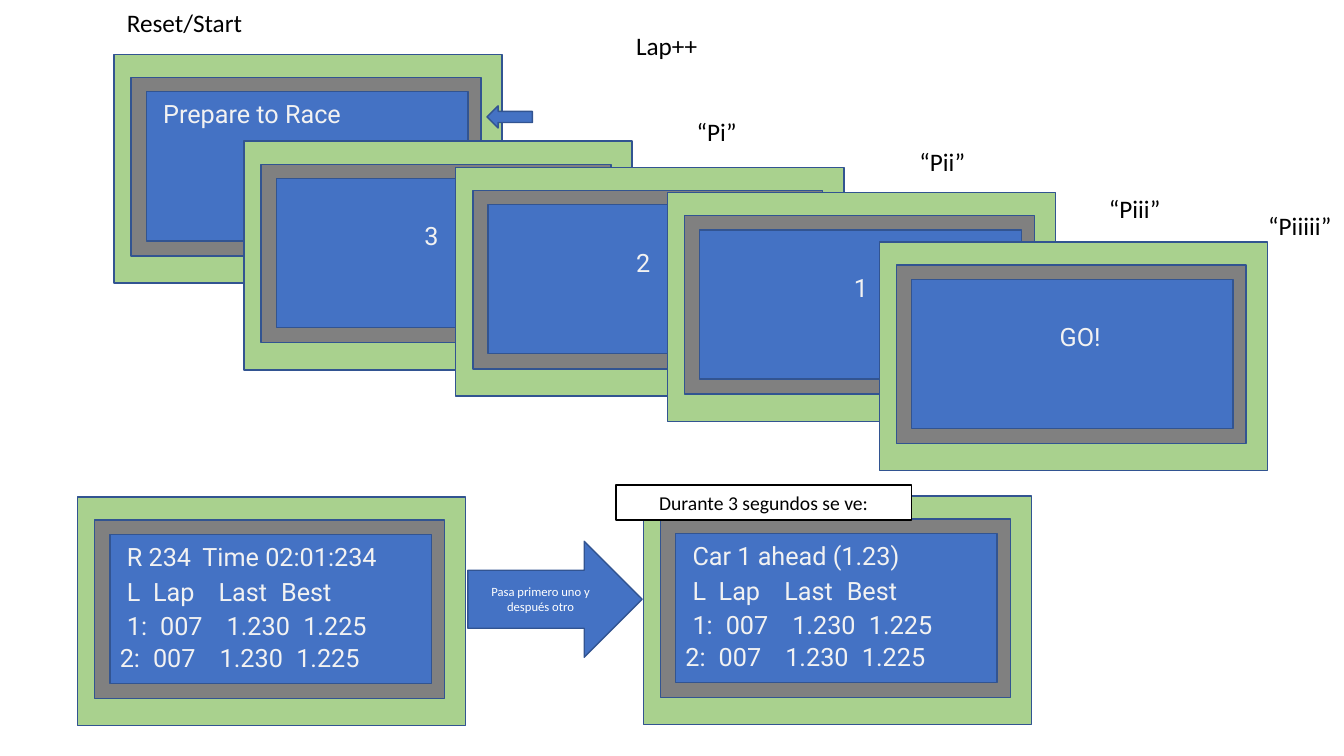
import pptx
import pptx.util
import pptx.dml.color
import pptx.enum.shapes
import pptx.enum.text
from lxml import etree

Inches = pptx.util.Inches
Kind = pptx.enum.shapes.MSO_SHAPE
Anchor = pptx.enum.text.MSO_ANCHOR
Align = pptx.enum.text.PP_ALIGN
Fit = pptx.enum.text.MSO_AUTO_SIZE

theme = {
    "board": "A9D18E", "bezel": "808080", "blue": "4472C4", "edge": "325491",
    "white": "FFFFFF", "black": "000000",
    "screen": {"name": "Roboto", "size": 18, "color": "F2F2F2"},
    "label": {"name": "Calibri", "size": 18, "color": "000000"},
    "note": {"name": "Calibri", "size": 14, "color": "000000"},
    "hint": {"name": "Calibri", "size": 9, "color": "FFFFFF"},
}

deck = pptx.Presentation()
deck.slide_width, deck.slide_height = Inches(13.33), Inches(7.5)
slide = deck.slides.add_slide(deck.slide_layouts[6])


def draw(kind, place, fill, edge=theme["edge"]):
    shape = slide.shapes.add_shape(kind, *map(Inches, place))
    shape.shadow.inherit = False
    shape.fill.solid()
    shape.fill.fore_color.rgb = pptx.dml.color.RGBColor.from_string(fill)
    shape.line.color.rgb = pptx.dml.color.RGBColor.from_string(edge)
    shape.line.width = pptx.util.Pt(1)
    return shape


def write(text, style, place=None, shape=None, indent=0, stops=()):
    """Fill a shape with centred text, or a new text box at place."""
    if shape is None:
        frame = slide.shapes.add_textbox(*map(Inches, place)).text_frame
        form = {"word_wrap": True, "auto_size": Fit.SHAPE_TO_FIT_TEXT,
                "margin_left": Inches(0.1 + indent)}
        align = Align.LEFT
    else:
        frame = shape.text_frame
        form = {"word_wrap": True, "vertical_anchor": Anchor.MIDDLE}
        align = Align.CENTER
    for key, value in form.items():
        setattr(frame, key, value)
    para = frame.paragraphs[0]
    para.text = text
    para.alignment = align
    if stops:
        props = para._p.get_or_add_pPr()
        tabs = etree.SubElement(props, pptx.oxml.ns.qn("a:tabLst"))
        for stop in stops:
            etree.SubElement(tabs, pptx.oxml.ns.qn("a:tab"),
                             pos=str(Inches(stop)), algn="l")
    font = para.runs[0].font
    for key, value in {"name": style["name"],
                       "size": pptx.util.Pt(style["size"])}.items():
        setattr(font, key, value)
    font.color.rgb = pptx.dml.color.RGBColor.from_string(style["color"])


# Each line: text, left and top within the panel, indent, tab stops
def_rows = [
    ("L\tLap\tLast\tBest", 0.39, 0.74, 0, (0.26, 0.91, 1.53)),
    ("1:\t007\t1.230\t1.225", 0.39, 1.08, 0, (0.33, 0.99, 1.75)),
    ("2:\t007\t1.230\t1.225", 0.32, 1.39, 0, (0.33, 0.99, 1.75)),
]
panels = [
    (1.13, 0.54, [("Prepare to Race", 0.39, 0.39, 0, ())]),
    (6.38, 4.92, def_rows + [("Car 1 ahead (1.23)", 0.39, 0.39, 0, ())]),
    (2.42, 1.4, [("3", 0.39, 0.74, 1.3, ())]),
    (4.52, 1.66, [("2", 0.39, 0.74, 1.3, ())]),
    (6.62, 1.91, [("1", 0.39, 0.74, 1.36, ())]),
    (8.72, 2.4, [("GO!", 0.39, 0.74, 1.3, ())]),
    (0.77, 4.93, def_rows + [
        ("R 234\tTime 02:01:234", 0.39, 0.39, 0, (0.75,))]),
]
layers = [
    (0, 0, 3.85, 2.27, theme["board"]),
    (0.17, 0.23, 3.47, 1.77, theme["bezel"]),
    (0.32, 0.37, 3.19, 1.48, theme["blue"]),
]
for left, top, rows in panels:
    for dx, dy, wide, high, fill in layers:
        draw(Kind.RECTANGLE, (left + dx, top + dy, wide, high), fill)
    for text, dx, dy, indent, stops in rows:
        write(text, theme["screen"], (left + dx, top + dy, 3.01, 0.4),
              indent=indent, stops=stops)

start = draw(Kind.RIGHT_ARROW, (4.83, 1.05, 0.45, 0.22), theme["blue"])
start.rotation = 180

swap = draw(Kind.RIGHT_ARROW, (4.64, 5.37, 1.73, 1.15), theme["blue"])
write("Pasa primero uno y después otro", theme["hint"], shape=swap)

note = draw(Kind.RECTANGLE, (6.11, 4.81, 2.93, 0.35),
            theme["white"], theme["black"])
write("Durante 3 segundos se ve:", theme["note"], shape=note)

labels = [
    ("“Pi”", 6.81, 1.11, 1.18),
    ("“Pii”", 9.02, 1.4, 1.18),
    ("“Piii”", 10.9, 1.87, 1.18),
    ("“Piiiii”", 12.48, 2.04, 1.18),
    ("Reset/Start", 1.16, 0.02, 1.38),
    ("Lap++", 6.21, 0.25, 0.85),
]
for text, left, top, wide in labels:
    write(text, theme["label"], (left, top, wide, 0.4))

deck.save("out.pptx")
